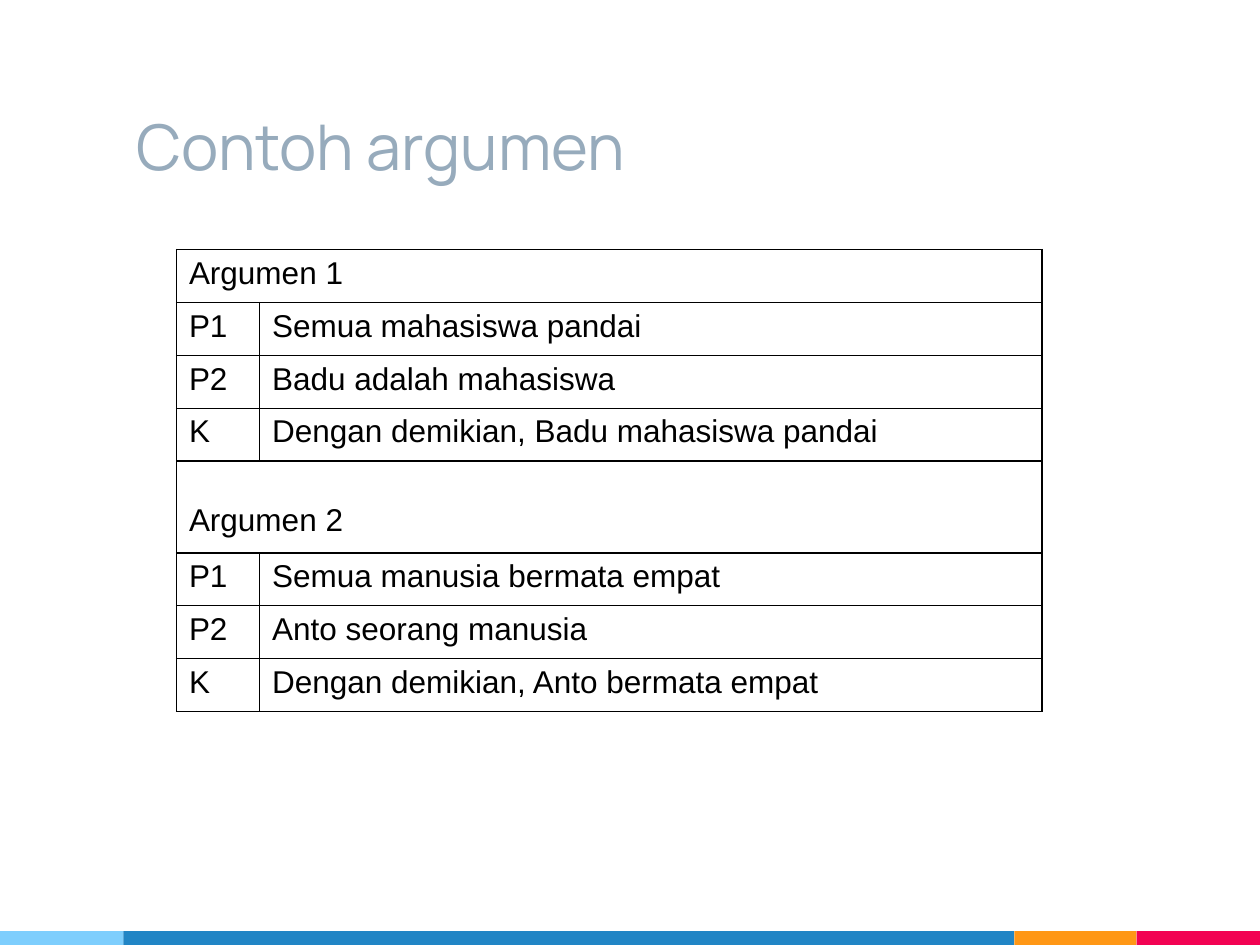
"""Build a slide with a table of two example arguments."""
from lxml.etree import SubElement
from pptx import Presentation
from pptx.dml.color import RGBColor as RGB
from pptx.enum.shapes import MSO_SHAPE as SHAPE
from pptx.enum.text import MSO_ANCHOR as ANCHOR, PP_ALIGN as ALIGN
from pptx.oxml.ns import qn
from pptx.util import Inches, Pt

COLORS = {"title": "97ABBC", "text": "000000", "sky": "7ECEFD",
          "blue": "2185C5", "orange": "FF9715", "red": "F20253"}


class Deck:
    """Hold the style and the current slide."""

    title_font = {"name": "Manrope", "size": Pt(36), "bold": False}
    cell_font = {"name": "Arial", "size": Pt(18), "bold": False}

    def __init__(self, prs):
        self.s = prs.slides.add_slide(prs.slide_layouts[5])

    def text(self, tf, text, font, color):
        p = tf.paragraphs[0]
        p.alignment = ALIGN.LEFT
        r = p.add_run()
        r.text = text
        for name, value in font.items():
            setattr(r.font, name, value)
        r.font.color.rgb = RGB.from_string(COLORS[color])

    def title(self, text, x, y, w, h):
        sp = self.s.shapes.title
        sp.left, sp.top, sp.width, sp.height = map(Inches, (x, y, w, h))
        tf = sp.text_frame
        form = dict.fromkeys(("margin_left", "margin_top", "margin_right", "margin_bottom"), Inches(0.1))
        form.update(vertical_anchor=ANCHOR.BOTTOM, word_wrap=True)
        for name, value in form.items():
            setattr(tf, name, value)
        self.text(tf, text, self.title_font, "title")

    def bar(self, color, x, y, w, h):
        sp = self.s.shapes.add_shape(SHAPE.RECTANGLE, *map(Inches, (x, y, w, h)))
        sp.shadow.inherit = False
        sp.fill.solid()
        sp.fill.fore_color.rgb = RGB.from_string(COLORS[color])
        sp.line.fill.background()

    def border(self, cell):
        tcPr = cell._tc.get_or_add_tcPr()
        for side in ("a:lnL", "a:lnR", "a:lnT", "a:lnB"):
            ln = SubElement(tcPr, qn(side), w=str(Pt(0.75)))
            fill = SubElement(ln, qn("a:solidFill"))
            SubElement(fill, qn("a:srgbClr"), val=COLORS["text"])

    def table(self, rows, x, y, widths, heights):
        size = map(Inches, (x, y, sum(widths), sum(heights)))
        tbl = self.s.shapes.add_table(len(rows), len(widths), *size).table
        tbl.first_row = tbl.horz_banding = False
        for col, width in zip(tbl.columns, widths):
            col.width = Inches(width)
        for i, (row, height) in enumerate(zip(rows, heights)):
            tbl.rows[i].height = Inches(height)
            for j in range(len(widths)):
                cell = tbl.cell(i, j)
                self.border(cell)
                cell.fill.background()
                if j < len(row):
                    self.text(cell.text_frame, row[j], self.cell_font, "text")
            if len(row) == 1:
                tbl.cell(i, 0).merge(tbl.cell(i, len(widths) - 1))
        return tbl


prs = Presentation()
prs.slide_width, prs.slide_height = Inches(10), Inches(7.5)
deck = Deck(prs)

left = 0
for color, width in (("sky", 0.98), ("blue", 7.07), ("orange", 0.97), ("red", 0.98)):
    deck.bar(color, left, 7.39, width, 0.11)
    left += width

deck.title("Contoh argumen", 0.98, 0.3, 7.07, 1.25)

arguments = (
    ("Semua mahasiswa pandai", "Badu adalah mahasiswa",
     "Dengan demikian, Badu mahasiswa pandai"),
    ("Semua manusia bermata empat", "Anto seorang manusia",
     "Dengan demikian, Anto bermata empat"),
)
rows = []
for number, lines in enumerate(arguments, 1):
    rows += [(f"Argumen {number}",), *zip(("P1", "P2", "K"), lines)]
heights = [0.73 if i == 4 else 0.42 for i in range(len(rows))]
tbl = deck.table(rows, 1.4, 1.98, (0.66, 6.21), heights)
tbl.cell(4, 0).margin_top = Inches(0.33)

prs.save("out.pptx")
